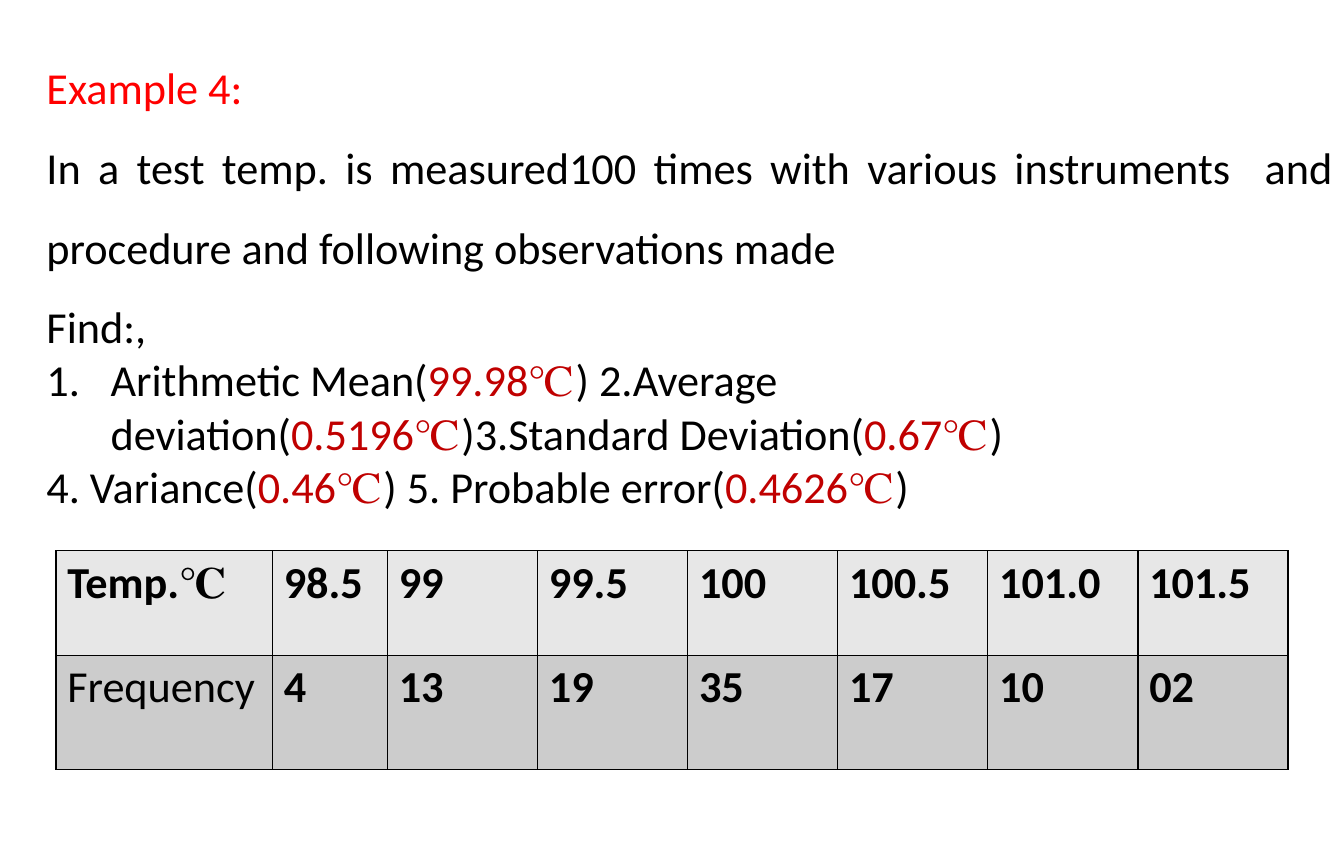
import pptx
import pptx.dml.color
import pptx.enum.text
import pptx.oxml
import pptx.oxml.ns
import pptx.util

PX = 6000  # EMU in one px; the slide is 30 cm wide
THEME = {
    "font": "Calibri",
    "symbol_font": "Times New Roman",
    "size": pptx.util.Pt(28),
    "text": pptx.dml.color.RGBColor.from_string("000000"),
    "heading": pptx.dml.color.RGBColor.from_string("FF0000"),
    "answer": pptx.dml.color.RGBColor.from_string("C00000"),
    "row_fills": [pptx.dml.color.RGBColor.from_string(fill) for fill in ("E7E7E7", "CCCCCC")],
}
DEGREE = "℃"


def xml_element(markup):
    return pptx.oxml.parse_xml(markup.replace(" ", f" {pptx.oxml.ns.nsdecls('a')} ", 1))


def write_runs(paragraph, text, color, bold=False):
    """Add text to the paragraph; parts between bars are answers, the degree sign has its own font."""
    paragraph.font.size = THEME["size"]
    paragraph.font.bold = bold
    for index, part in enumerate(text.split("|")):
        before, sign, after = part.partition(DEGREE)
        for piece in filter(None, (before, sign, after)):
            run = paragraph.add_run()
            run.text = piece
            run.font.name = THEME["symbol_font" if piece == DEGREE else "font"]
            run.font.color.rgb = THEME["answer"] if index % 2 else color


presentation = pptx.Presentation()
presentation.slide_width = 1800 * PX
presentation.slide_height = 1143 * PX
slide = presentation.slides.add_slide(presentation.slide_layouts[1])
title = slide.shapes.title
title.element.getparent().remove(title.element)

# Problem statement and questions
body = slide.placeholders[1]
body.left, body.top, body.width, body.height = 47 * PX, 38 * PX, 1753 * PX, 700 * PX
frame = body.text_frame
frame.word_wrap = True
frame.auto_size = pptx.enum.text.MSO_AUTO_SIZE.SHAPE_TO_FIT_TEXT
frame.vertical_anchor = pptx.enum.text.MSO_ANCHOR.TOP

JUSTIFY = pptx.enum.text.PP_ALIGN.JUSTIFY
LEFT = pptx.enum.text.PP_ALIGN.LEFT
NO_BULLET = "<a:buNone />"
NUMBER = '<a:buAutoNum type="arabicPeriod"/>'
statements = [
    ("Example 4:", "heading", JUSTIFY, 1.5, 0, NO_BULLET),
    ("In a test temp. is measured100 times with various instruments  and procedure "
     "and following observations made", "text", JUSTIFY, 1.5, 0, NO_BULLET),
    ("Find:,", "text", JUSTIFY, 1.5, 0, NO_BULLET),
    ("Arithmetic Mean(|99.98℃|) 2.Average deviation(|0.5196℃|)3.Standard Deviation(|0.67℃|)",
     "text", LEFT, 1.0, 86, NUMBER),
    ("4. Variance(|0.46℃|) 5. Probable error(|0.4626℃|)", "text", LEFT, 1.0, 0, NO_BULLET),
]
for index, (text, color, alignment, spacing, indent, bullet) in enumerate(statements):
    paragraph = frame.add_paragraph() if index else frame.paragraphs[0]
    paragraph.alignment = alignment
    paragraph.line_spacing = spacing
    paragraph.space_before = pptx.util.Pt(0)
    properties = paragraph._p.get_or_add_pPr()
    properties.set("marL", str(indent * PX))
    properties.set("indent", str(-indent * PX))
    properties.append(xml_element(bullet))
    write_runs(paragraph, text, THEME[color])

# Observations
observations = [
    ["Temp.℃", "98.5", "99", "99.5", "100", "100.5", "101.0", "101.5"],
    ["Frequency", "4", "13", "19", "35", "17", "10", "02"],
]
column_widths = [290, 154] + [201] * 6
row_heights = [140, 153]
table = slide.shapes.add_table(
    len(row_heights), len(column_widths), 75 * PX, 738 * PX,
    sum(column_widths) * PX, sum(row_heights) * PX,
).table
table.first_row = False
table.horz_banding = False
for column, width in zip(table.columns, column_widths):
    column.width = width * PX
for row, height, values, fill in zip(table.rows, row_heights, observations, THEME["row_fills"]):
    row.height = height * PX
    for cell, value in zip(row.cells, values):
        for side in "LRTB":
            cell._tc.get_or_add_tcPr().append(xml_element(
                f'<a:ln{side} w="12700"><a:solidFill><a:srgbClr val="{THEME["text"]}"/>'
                f"</a:solidFill></a:ln{side}>"))
        cell.fill.solid()
        cell.fill.fore_color.rgb = fill
        write_runs(cell.text_frame.paragraphs[0], value, THEME["text"], bold=value != "Frequency")

presentation.save("out.pptx")
